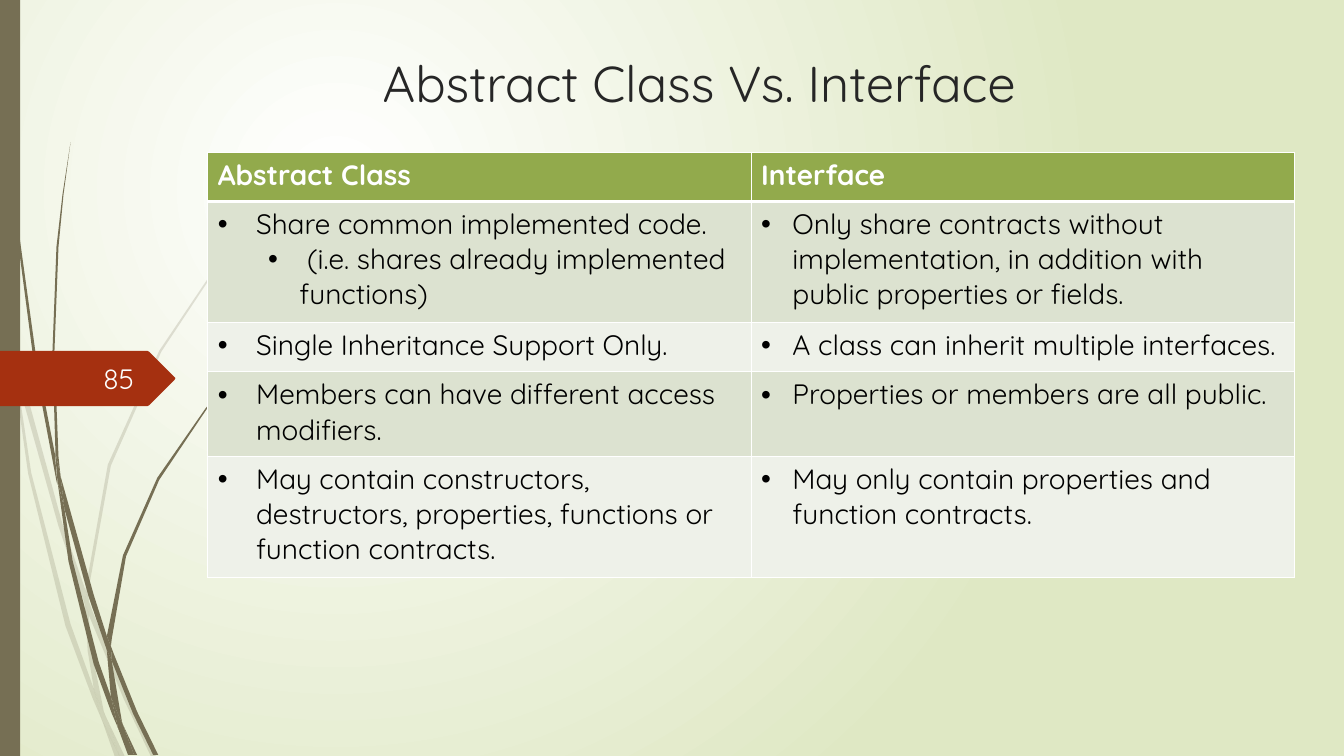
from lxml import etree
from pptx import Presentation
from pptx.dml import color as dml
from pptx.enum import shapes, text as t
from pptx.oxml import ns
from pptx.util import Inches, Pt

FONT = "Quicksand"
OLIVE = "766F54"

# Grass blades are built from slivers; each lists its corners in inches
PALE_SLIVERS = [
    [(0.11, 3.5), (0.09, 3.22), (0, 2.82), (0, 2.99), (0.1, 3.44)],
    [(0.58, 5.22), (0.84, 5.99), (0.85, 5.86), (0.62, 5.2), (0.14, 3.45),
     (0.17, 3.76)],
    [(0.92, 6.07), (0.88, 5.96), (0.88, 6.1), (1.23, 6.94), (1.5, 7.51),
     (1.55, 7.51), (1.27, 6.92)],
    [(1.19, 7.51), (1.24, 7.51), (1.05, 7.11)],
    [(0.93, 6.83), (0.7, 6.19), (0.31, 4.69), (0.17, 3.76), (0.11, 3.5),
     (0.28, 4.7), (0.65, 6.21), (0.92, 6.93), (1.01, 7.14), (0.99, 7.07)],
    [(0.84, 5.99), (0.87, 6.46), (0.93, 6.83), (0.96, 6.92), (1.05, 7.11),
     (1.03, 7.06), (0.91, 6.46), (0.88, 6.1), (0.88, 6.08)],
    [(0.88, 5.84), (1.1, 4.62), (1.6, 3.49), (2.29, 2.45), (2.68, 1.98),
     (2.9, 1.75), (3.12, 1.54), (3.12, 1.53), (2.89, 1.75), (2.68, 1.97),
     (2.28, 2.44), (1.58, 3.48), (1.07, 4.61), (0.85, 5.84), (0.85, 5.86),
     (0.88, 5.96)],
    [(1.01, 7.14), (1.14, 7.51), (1.19, 7.51)],
    [(0.88, 6.08), (0.88, 6.1), (0.88, 5.96), (0.85, 5.86), (0.84, 5.99)],
    [(0.96, 6.92), (0.93, 6.83), (0.99, 7.07), (1.01, 7.14), (1.19, 7.51),
     (1.05, 7.11)],
]
DARK_SLIVERS = [
    [(0.07, 1.1), (0.17, 2.33), (0.33, 3.55), (0.56, 4.77), (0.57, 4.81),
     (0.55, 4.57), (0.55, 4.53), (0.36, 3.55), (0.19, 2.32), (0.08, 1.09),
     (0.05, 0.48), (0.04, 0), (0.03, 0), (0.04, 0.48)],
    [(0.88, 5.92), (1.06, 6.45), (1.06, 6.31), (0.93, 5.9), (0.6, 4.72),
     (0.64, 5.05)],
    [(1.13, 6.49), (1.1, 6.41), (1.11, 6.56), (1.32, 7.08), (1.52, 7.49),
     (1.57, 7.49), (1.36, 7.06)],
    [(1.1, 6.91), (0.98, 6.57), (0.72, 5.56), (0.64, 5.05), (0.57, 4.77),
     (0.68, 5.57), (0.93, 6.59), (1.11, 7.08), (1.17, 7.22), (1.16, 7.17)],
    [(0.6, 4.72), (0.58, 4.53), (0.54, 3.49), (0.58, 2.45), (0.63, 1.93),
     (0.7, 1.41), (0.62, 1.93), (0.56, 2.45), (0.52, 3.49), (0.55, 4.49)],
    [(1.33, 7.49), (1.36, 7.49), (1.22, 7.19)],
    [(0.57, 4.77), (0.64, 5.05), (0.6, 4.72), (0.55, 4.49), (0.55, 4.53)],
    [(1.11, 6.33), (1.25, 5.52), (1.58, 4.76), (2.05, 4.06), (2.31, 3.74),
     (2.45, 3.59), (2.61, 3.44), (2.6, 3.44), (2.45, 3.58), (2.31, 3.73),
     (2.04, 4.05), (1.56, 4.74), (1.22, 5.51), (1.06, 6.31), (1.1, 6.41)],
    [(1.17, 7.22), (1.27, 7.49), (1.31, 7.49)],
    [(1.06, 6.45), (1.1, 6.91), (1.16, 7.06), (1.22, 7.19), (1.21, 7.16),
     (1.11, 6.56), (1.09, 6.51)],
    [(1.06, 6.45), (1.09, 6.51), (1.11, 6.56), (1.1, 6.41), (1.06, 6.31)],
    [(1.16, 7.06), (1.1, 6.91), (1.16, 7.17), (1.17, 7.22), (1.3, 7.49),
     (1.33, 7.49), (1.22, 7.19)],
]
FLAG = [(0, 3.48), (1.46, 3.48), (1.48, 3.49), (1.73, 3.74), (1.74, 3.75),
        (1.73, 3.77), (1.48, 4.02), (1.46, 4.03), (0, 4.03)]

HEADINGS = ["Abstract Class", "Interface"]
# Each cell holds (level, text) items
COMPARISON = [
    ([(0, "Share common implemented code."),
      (1, " (i.e. shares already implemented functions)")],
     [(0, "Only share contracts without implementation, in addition with "
          "public properties or fields.")]),
    ([(0, "Single Inheritance Support Only.")],
     [(0, "A class can inherit multiple interfaces.")]),
    ([(0, "Members can have different access modifiers.")],
     [(0, "Properties or members are all public.")]),
    ([(0, "May contain constructors, destructors, properties, functions or "
          "function contracts.")],
     [(0, "May only contain properties and function contracts.")]),
]
ROW_HEIGHTS = [0.49, 1.2, 0.49, 0.84, 1.2]


def rgb(value):
    return dml.RGBColor.from_string(value)


def add_node(parent, tag, **attributes):
    node = etree.SubElement(parent, ns.qn(tag))
    for name, value in attributes.items():
        node.set(name, str(value))
    return node


def write(para, text, size=20, color="000000", bold=False, align=None,
          level=0, indent=None):
    """Write one paragraph; indent=(left, hanging) in inches adds a bullet."""
    para.level = level
    if align is not None:
        para.alignment = align
    if indent:
        props = para._p.get_or_add_pPr()
        props.set("marL", str(Inches(indent[0])))
        props.set("indent", str(-Inches(indent[1])))
        add_node(props, "a:buFont", typeface="Arial")
        add_node(props, "a:buChar", char="•")
    span = para.add_run()
    span.text = text
    span.font.name = FONT
    span.font.size = Pt(size)
    span.font.bold = bold
    span.font.color.rgb = rgb(color)


def place(box, left, top, width, height):
    box.left, box.top = Inches(left), Inches(top)
    box.width, box.height = Inches(width), Inches(height)
    box.text_frame.word_wrap = True
    box.text_frame.vertical_anchor = t.MSO_ANCHOR.MIDDLE


def paint_background(page):
    fill = page.background.fill
    fill.gradient()
    for stop, color in zip(fill.gradient_stops, ["FFFFFF", "DFE8C4"]):
        stop.color.rgb = rgb(color)
    gradient = page._element.find(".//" + ns.qn("a:gradFill"))
    gradient.remove(gradient.find(ns.qn("a:lin")))
    circle = add_node(gradient, "a:path")
    circle.set("path", "circle")
    add_node(circle, "a:fillToRect", l=50000, t=50000, r=100000, b=100000)


def paint(shape, color, opacity=100):
    shape.shadow.inherit = False
    shape.line.fill.background()
    shape.fill.solid()
    shape.fill.fore_color.rgb = rgb(color)
    if opacity < 100:
        tint = shape._element.spPr.find(".//" + ns.qn("a:srgbClr"))
        add_node(tint, "a:alpha", val=opacity * 1000)


def add_outline(page, points, color, opacity=100):
    corners = [(Inches(x), Inches(y)) for x, y in points]
    builder = page.shapes.build_freeform(*corners[0])
    builder.add_line_segments(corners[1:], close=True)
    paint(builder.convert_to_shape(), color, opacity)


def format_cell(cell, color, **borders):
    props = cell._tc.get_or_add_tcPr()
    for side in "LRTB":
        line = add_node(props, "a:ln" + side, w=Pt(borders.get(side, 1)))
        add_node(add_node(line, "a:solidFill"), "a:srgbClr", val="FFFFFF")
    cell.fill.solid()
    cell.fill.fore_color.rgb = rgb(color)


def add_comparison(page):
    table = page.shapes.add_table(
        len(ROW_HEIGHTS), len(HEADINGS), Inches(2.06), Inches(1.51),
        Inches(10.78), Inches(sum(ROW_HEIGHTS))).table
    for row, height in zip(table.rows, ROW_HEIGHTS):
        row.height = Inches(height)
    for col, heading in enumerate(HEADINGS):
        cell = table.cell(0, col)
        format_cell(cell, "92AA4C", B=3)
        write(cell.text_frame.paragraphs[0], heading, color="FFFFFF", bold=True)
    for row, contents in enumerate(COMPARISON, start=1):
        for col, items in enumerate(contents):
            cell = table.cell(row, col)
            format_cell(cell, "DCE2D0" if row % 2 else "EEF1E9",
                        T=3 if row == 1 else 1)
            hanging = 0.31 if col else 0.38
            for i, (level, text) in enumerate(items):
                frame = cell.text_frame
                para = frame.add_paragraph() if i else frame.paragraphs[0]
                indent = (0.81, 0.31) if level else (hanging, hanging)
                write(para, text, level=level, indent=indent)


def main():
    deck = Presentation()
    deck.slide_width, deck.slide_height = Inches(13.33), Inches(7.5)
    page = deck.slides.add_slide(deck.slide_layouts[5])

    # Backdrop
    paint_background(page)
    for slivers, opacity in [(PALE_SLIVERS, 20), (DARK_SLIVERS, 100)]:
        for sliver in slivers:
            add_outline(page, sliver, OLIVE, opacity)
    band = page.shapes.add_shape(shapes.MSO_SHAPE.RECTANGLE, 0, 0,
                                 Inches(0.2), Inches(7.5))
    paint(band, OLIVE)

    # Title
    title = page.shapes.title
    place(title, 2.06, 0.44, 9.75, 0.75)
    write(title.text_frame.paragraphs[0], "Abstract Class Vs. Interface",
          size=36, color="262626", align=t.PP_ALIGN.CENTER)

    # Page number on its flag
    add_outline(page, FLAG, "A53010")
    number = page.shapes.add_textbox(0, 0, 0, 0)
    place(number, 0.58, 3.55, 0.85, 0.4)
    write(number.text_frame.paragraphs[0], "85", color="FEFFFF",
          align=t.PP_ALIGN.RIGHT)

    # Table
    add_comparison(page)
    deck.save("out.pptx")


if __name__ == "__main__":
    main()
